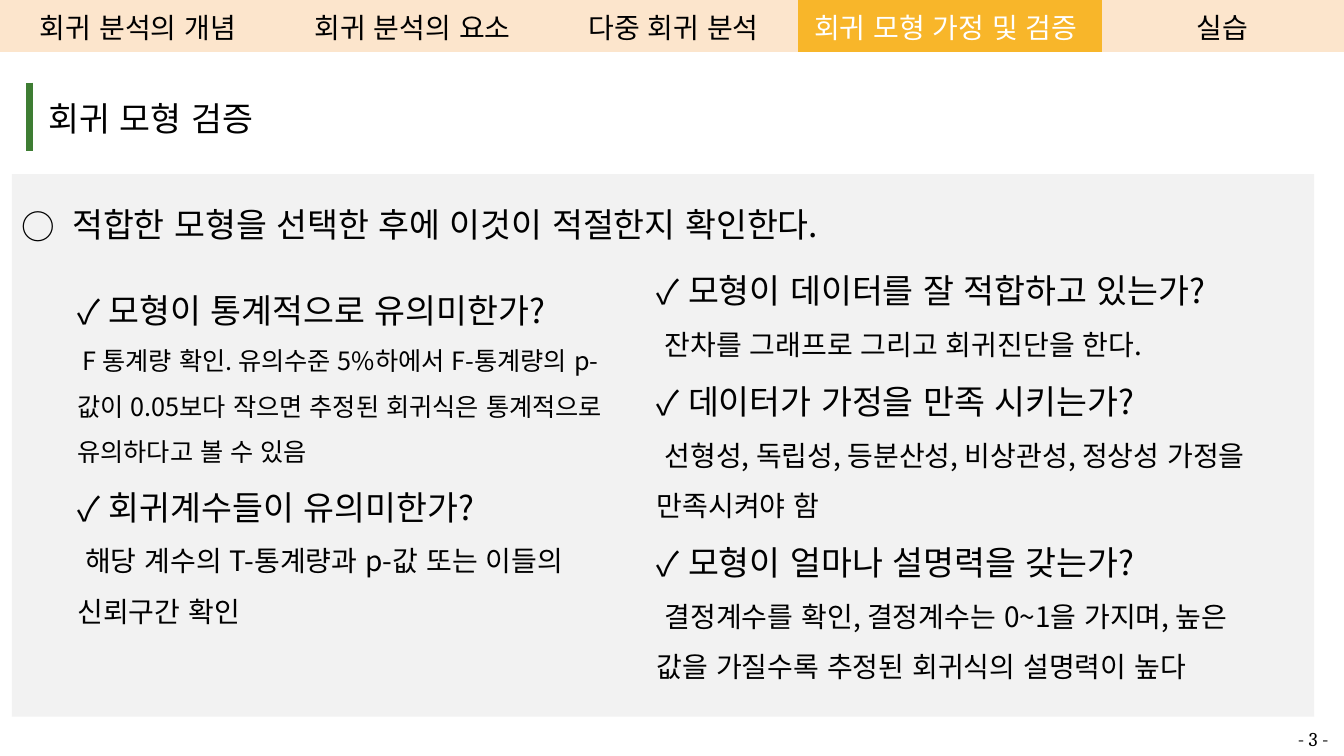
"""Build the slide on checking a regression model."""
from lxml import etree
from pptx import Presentation
from pptx.dml.color import RGBColor
from pptx.enum import shapes, text
from pptx.oxml import ns
from pptx.util import Cm, Pt

FONT = "Noto Sans CJK KR"
BLACK, WHITE, GREEN, GREY = "000000", "FFFFFF", "3E7D33", "F2F2F2"
PEACH, AMBER = "FCE5CC", "F8B62A"
CHECK_INDENT, CIRCLE_INDENT = 0.79, 1.27
PLAIN_TABLE = "{2D5ABB26-0587-4C30-8999-92F81FD0307C}"

TABS = [
    ("회귀 분석의 개념", 6.96),
    ("회귀 분석의 요소", 6.88),
    ("다중 회귀 분석", 6.27),
    ("회귀 모형 가정 및 검증 ", 7.65),
    ("실습", 6.1),
]
ACTIVE_TAB = 3
TAB_HEIGHT = 1.32
TITLE = " 회귀 모형 검증"
LEAD = "적합한 모형을 선택한 후에 이것이 적절한지 확인한다."
PAGE_NUMBER = "- 3 -"

COLUMNS = [
    ((1.7, 6.68, 13.87, 9.96), [
        ("모형이 통계적으로 유의미한가?", 1.5,
         " F 통계량 확인. 유의수준 5%하에서 F-통계량의 p-값이 0.05보다 작으면 "
         "추정된 회귀식은 통계적으로 유의하다고 볼 수 있음", 18),
        ("회귀계수들이 유의미한가?", 1.5,
         " 해당 계수의 T-통계량과 p-값 또는 이들의 신뢰구간 확인", 20),
    ]),
    ((16.3, 6.68, 15.7, 12.22), [
        ("모형이 데이터를 잘 적합하고 있는가?", 1.0,
         " 잔차를 그래프로 그리고 회귀진단을 한다.", 20),
        ("데이터가 가정을 만족 시키는가?", 1.5,
         " 선형성, 독립성, 등분산성, 비상관성, 정상성 가정을 만족시켜야 함", 20),
        ("모형이 얼마나 설명력을 갖는가?", 1.5,
         " 결정계수를 확인, 결정계수는 0~1을 가지며, "
         "높은 값을 가질수록 추정된 회귀식의 설명력이 높다", 20),
    ]),
]


def color(value):
    return RGBColor.from_string(value)


def place(left, top, width, height):
    return Cm(left), Cm(top), Cm(width), Cm(height)


def write(para, words, size, ink=BLACK, font=FONT, spacing=None, align=text.PP_ALIGN.LEFT):
    para.alignment = align
    para.line_spacing = spacing
    span = para.add_run()
    span.text = words
    span.font.name, span.font.size = font, Pt(size)
    span.font.color.rgb = color(ink)
    props = span.font._element
    props.set("lang", "ko-KR")
    props.set("kern", "0")
    east_asian = etree.Element(ns.qn("a:ea"), typeface=font)
    props.find(ns.qn("a:latin")).addnext(east_asian)


def add_bullet(para, mark, indent):
    props = para._p.get_or_add_pPr()
    props.set("marL", str(Cm(indent)))
    props.set("indent", str(-Cm(indent)))
    tint = etree.SubElement(props, ns.qn("a:buClr"))
    etree.SubElement(tint, ns.qn("a:srgbClr"), val=BLACK)
    etree.SubElement(props, ns.qn("a:buFont"), typeface=FONT)
    etree.SubElement(props, ns.qn("a:buChar"), char=mark)


def add_plain_table(page, area, columns):
    table = page.shapes.add_table(1, columns, *place(*area)).table
    table.first_row = table.horz_banding = False
    table._tbl.tblPr.find(ns.qn("a:tableStyleId")).text = PLAIN_TABLE
    return table


def add_tabs(page):
    width = sum(size for _, size in TABS)
    table = add_plain_table(page, (0, 0, width, TAB_HEIGHT), len(TABS))
    for index, (label, size) in enumerate(TABS):
        active = index == ACTIVE_TAB
        table.columns[index].width = Cm(size)
        cell = table.cell(0, index)
        cell.fill.solid()
        cell.fill.fore_color.rgb = color(AMBER if active else PEACH)
        cell.vertical_anchor = text.MSO_ANCHOR.MIDDLE
        cell.margin_left = cell.margin_right = Cm(0.1)
        cell.margin_top = cell.margin_bottom = Cm(0.1)
        write(cell.text_frame.paragraphs[0], label, 20, WHITE if active else BLACK,
              align=text.PP_ALIGN.CENTER)


def add_title(page):
    table = add_plain_table(page, (0.74, 2.08, 32.82, 1.52), 1)
    table.rows[0].height = Cm(1.09)
    cell = table.cell(0, 0)
    cell.margin_left = cell.margin_right = Cm(0.25)
    cell.margin_top = cell.margin_bottom = Cm(0.25)
    write(cell.text_frame.paragraphs[0], TITLE, 24)
    edge = etree.Element(ns.qn("a:lnL"), w=str(Pt(6)))
    paint = etree.SubElement(edge, ns.qn("a:solidFill"))
    etree.SubElement(paint, ns.qn("a:srgbClr"), val=GREEN)
    cell._tc.get_or_add_tcPr().insert(0, edge)
    cell.fill.background()


def add_panel(page):
    panel = page.shapes.add_shape(shapes.MSO_SHAPE.RECTANGLE, *place(0.3, 4.39, 32.82, 13.67))
    panel.shadow.inherit = False
    panel.fill.solid()
    panel.fill.fore_color.rgb = color(GREY)
    panel.line.fill.background()
    frame = panel.text_frame
    frame.vertical_anchor = text.MSO_ANCHOR.TOP
    frame.margin_top = Cm(0.25)
    para = frame.paragraphs[0]
    write(para, LEAD, 24, spacing=1.5)
    add_bullet(para, "○", CIRCLE_INDENT)


def add_checks(page, area, checks):
    frame = page.shapes.add_textbox(*place(*area)).text_frame
    frame.word_wrap = True
    frame.auto_size = text.MSO_AUTO_SIZE.SHAPE_TO_FIT_TEXT
    for index, (question, spacing, answer, size) in enumerate(checks):
        para = frame.add_paragraph() if index else frame.paragraphs[0]
        write(para, question, 24, spacing=spacing)
        add_bullet(para, "✓", CHECK_INDENT)
        write(frame.add_paragraph(), answer, size, spacing=1.5)


def add_page_number(page):
    box = page.shapes.add_textbox(*place(32.46, 18.19, 1.4, 0.86))
    box.text_frame.word_wrap = False
    box.text_frame.auto_size = text.MSO_AUTO_SIZE.SHAPE_TO_FIT_TEXT
    write(box.text_frame.paragraphs[0], PAGE_NUMBER, 14, font="Cambria")


def main():
    deck = Presentation()
    deck.slide_width, deck.slide_height = Cm(33.87), Cm(19.05)
    page = deck.slides.add_slide(deck.slide_layouts[6])
    add_panel(page)
    add_title(page)
    add_page_number(page)
    add_tabs(page)
    for area, checks in COLUMNS:
        add_checks(page, area, checks)
    deck.save("out.pptx")


if __name__ == "__main__":
    main()
